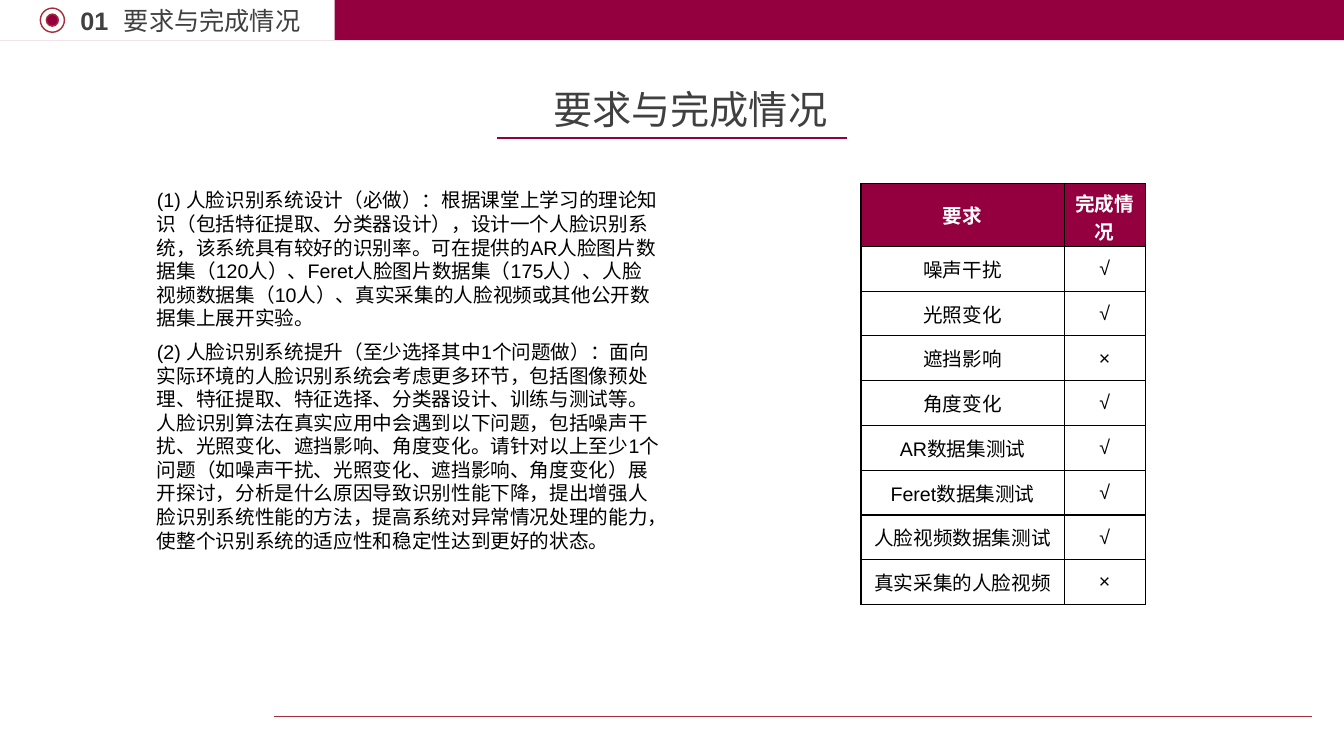
from dataclasses import dataclass

from lxml.etree import SubElement
from pptx import Presentation
from pptx.dml.color import RGBColor as RGB
from pptx.enum.shapes import MSO_CONNECTOR as LINE, MSO_SHAPE as SHAPE
from pptx.enum.text import MSO_ANCHOR as ANCHOR, MSO_AUTO_SIZE as AUTO, PP_ALIGN as ALIGN
from pptx.oxml import parse_xml
from pptx.oxml.ns import nsdecls, qn
from pptx.util import Pt


@dataclass(frozen=True)
class Theme:
    font: str = "Arial"
    wine: RGB = RGB(0x94, 0x00, 0x3F)
    red: RGB = RGB(0xA6, 0x2C, 0x38)
    gray: RGB = RGB(0x40, 0x40, 0x40)
    black: RGB = RGB(0, 0, 0)
    white: RGB = RGB(255, 255, 255)
    title: int = 28
    head: int = 18
    body: int = 14


theme = Theme()


def style(para, size, color, bold=False):
    font = para.font
    font.name, font.size, font.bold = theme.font, Pt(size), bold
    font.color.rgb = color


def border(cell):
    """Draw a thin black line on all four sides of a table cell."""
    props = cell._tc.get_or_add_tcPr()
    for spot, side in enumerate(("lnL", "lnR", "lnT", "lnB")):
        props.insert(spot, parse_xml(
            f'<a:{side} {nsdecls("a")} w="{Pt(1)}"><a:solidFill>'
            f'<a:srgbClr val="{theme.black}"/></a:solidFill></a:{side}>'))


deck = Presentation()
deck.slide_width, deck.slide_height = Pt(960), Pt(540)
slide = deck.slides.add_slide(deck.slide_layouts[5])
shapes = slide.shapes

# Rules at the foot and under the title
for left, right, y, color in ((196, 937.5, 512, theme.red), (355, 605, 98.6, theme.wine)):
    rule = shapes.add_connector(LINE.STRAIGHT, Pt(left), Pt(y), Pt(right), Pt(y))
    rule.line.color.rgb, rule.line.width = color, Pt(1)
    SubElement(rule._element.spPr, qn("a:effectLst"))

# Header band, white tab and ring mark
for kind, left, top, width, height, fill, edge in (
    (SHAPE.RECTANGLE, 0, 0, 960, 28.8, theme.wine, None),
    (SHAPE.RECTANGLE, 0, 0, 239, 28.8, theme.white, None),
    (SHAPE.OVAL, 28.8, 5.8, 17.2, 17.2, None, theme.red),
    (SHAPE.OVAL, 33.1, 10.1, 8.6, 8.6, theme.wine, theme.red),
):
    part = shapes.add_shape(kind, Pt(left), Pt(top), Pt(width), Pt(height))
    part.shadow.inherit = False
    if fill is None:
        part.fill.background()
    else:
        part.fill.solid()
        part.fill.fore_color.rgb = fill
    if edge is None:
        part.line.fill.background()
    else:
        part.line.color.rgb, part.line.width = edge, Pt(1)

# Header text
for text, left, width, bold in (("01", 50.4, 34.6, True), ("要求与完成情况", 81.4, 161.3, False)):
    label = shapes.add_textbox(Pt(left), Pt(0), Pt(width), Pt(28.8)).text_frame
    label.text, label.word_wrap, label.auto_size = text, not bold, AUTO.SHAPE_TO_FIT_TEXT
    style(label.paragraphs[0], theme.head, theme.gray, bold)

# Title
title = shapes.title
title.left, title.top, title.width, title.height = Pt(388), Pt(57), Pt(212.4), Pt(41)
frame = title.text_frame
frame.text, frame.word_wrap, frame.auto_size = "要求与完成情况", False, AUTO.SHAPE_TO_FIT_TEXT
frame.vertical_anchor = ANCHOR.TOP
frame.paragraphs[0].alignment = ALIGN.LEFT
style(frame.paragraphs[0], theme.title, theme.gray)

# Task description
tasks = (
    "(1) 人脸识别系统设计（必做）：根据课堂上学习的理论知识（包括特征提取、分类器设计），"
    "设计一个人脸识别系统，该系统具有较好的识别率。可在提供的AR人脸图片数据集（120人）、"
    "Feret人脸图片数据集（175人）、人脸视频数据集（10人）、真实采集的人脸视频或其他公开数据集上展开实验。",
    "(2) 人脸识别系统提升（至少选择其中1个问题做）：面向实际环境的人脸识别系统会考虑更多环节，"
    "包括图像预处理、特征提取、特征选择、分类器设计、训练与测试等。人脸识别算法在真实应用中会遇到以下问题，"
    "包括噪声干扰、光照变化、遮挡影响、角度变化。请针对以上至少1个问题"
    "（如噪声干扰、光照变化、遮挡影响、角度变化）展开探讨，分析是什么原因导致识别性能下降，"
    "提出增强人脸识别系统性能的方法，提高系统对异常情况处理的能力，使整个识别系统的适应性和稳定性达到更好的状态。",
)
body = shapes.add_textbox(Pt(105), Pt(131), Pt(374.4), Pt(270)).text_frame
body.text, body.word_wrap, body.auto_size = "\n".join(tasks), True, AUTO.SHAPE_TO_FIT_TEXT
for index, para in enumerate(body.paragraphs):
    para.space_before, para.space_after = Pt(3.8 if index else 0), Pt(3.8)
    style(para, theme.body, theme.black)

# Status table
rows = (
    ("要求", "完成情况"),
    ("噪声干扰", "√"),
    ("光照变化", "√"),
    ("遮挡影响", "×"),
    ("角度变化", "√"),
    ("AR数据集测试", "√"),
    ("Feret数据集测试", "√"),
    ("人脸视频数据集测试", "√"),
    ("真实采集的人脸视频", "×"),
)
table = shapes.add_table(len(rows), 2, Pt(615), Pt(131), Pt(203), Pt(301.6)).table
table.horz_banding = False
table.columns[0].width, table.columns[1].width = Pt(145.2), Pt(57.8)
for r, row in enumerate(rows):
    table.rows[r].height = Pt(32 if r else 45)
    for c, text in enumerate(row):
        cell = table.cell(r, c)
        cell.text, cell.vertical_anchor = text, ANCHOR.MIDDLE
        cell.fill.solid()
        cell.fill.fore_color.rgb = theme.white if r else theme.wine
        para = cell.text_frame.paragraphs[0]
        para.alignment = ALIGN.CENTER
        style(para, theme.body, theme.black if r else theme.white, r == 0)
        border(cell)

deck.save("out.pptx")
